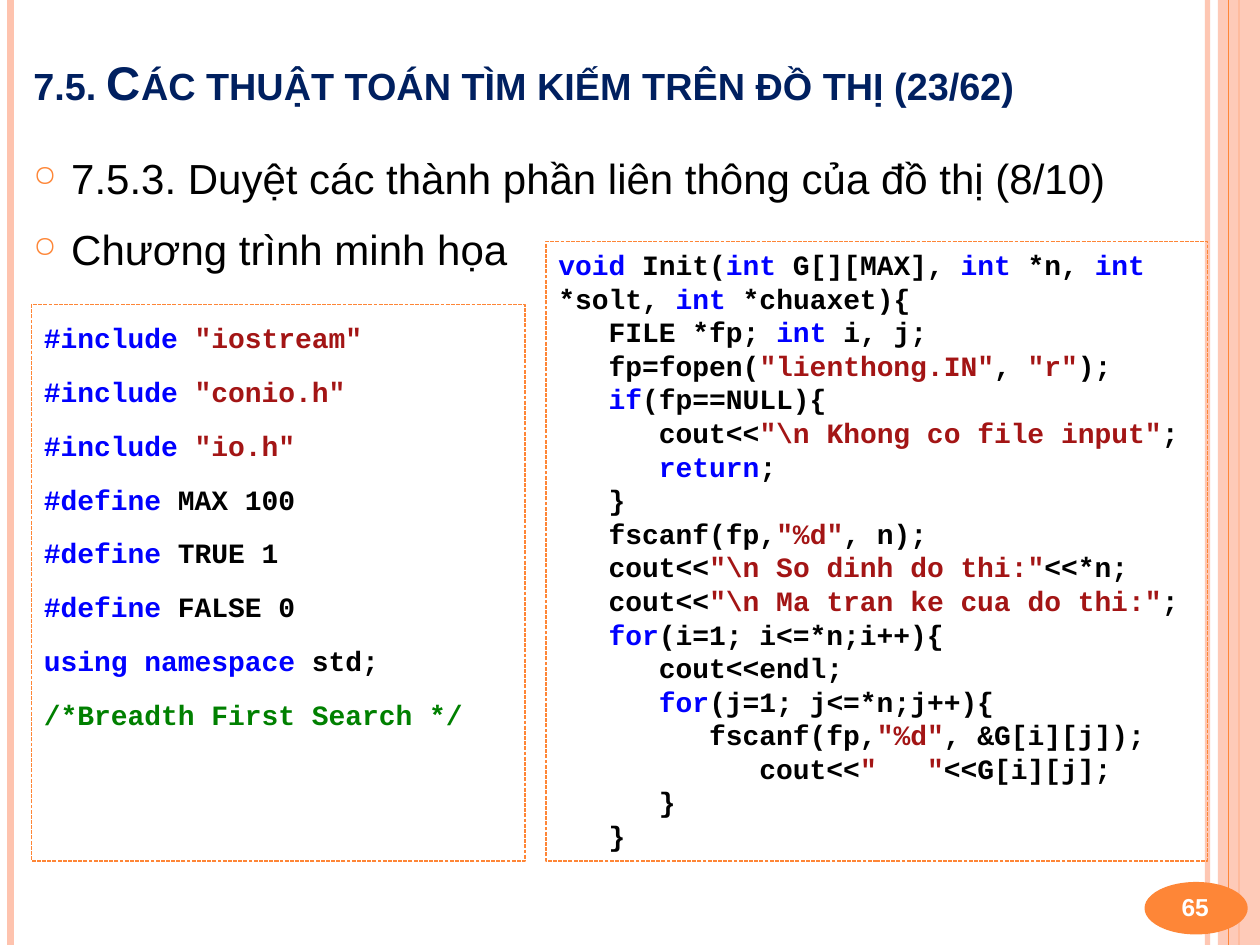
from lxml.etree import SubElement
from pptx import Presentation
from pptx.dml.color import RGBColor
from pptx.enum.dml import MSO_LINE
from pptx.enum.shapes import MSO_CONNECTOR, MSO_SHAPE
from pptx.enum.text import MSO_ANCHOR, PP_ALIGN
from pptx.oxml.ns import qn
from pptx.util import Pt

COLORS = {
    "peach": "FEC3AE", "orange": "FE8637", "navy": "002060", "white": "FFFFFF",
    "plain": "000000", "keyword": "0000FF", "string": "A31515", "comment": "008000",
}
KEYWORDS = {"#include", "#define", "using namespace", "void", "int", "if", "return", "for"}

# A bar separates the differently coloured parts of a line of code.
HEADER_CODE = [
    '#include |"iostream"',
    '#include |"conio.h"',
    '#include |"io.h"',
    '#define| MAX 100',
    '#define| TRUE 1',
    '#define| FALSE 0',
    'using namespace| std;',
    '/*Breadth First Search */',
]
INIT_CODE = [
    'void| Init(|int| G[][MAX], |int| *n, |int| *solt, |int| *chuaxet){',
    '   FILE *fp; |int| i, j;',
    '   fp=fopen(|"lienthong.IN"|, |"r"|);',
    '   if|(fp==NULL){',
    r'      cout<<|"\n Khong co file input"|;',
    '      return|;',
    '   }',
    '   fscanf(fp,|"%d"|, n);',
    r'   cout<<|"\n So dinh do thi:"|<<*n;',
    r'   cout<<|"\n Ma tran ke cua do thi:"|;',
    '   for|(i=1; i<=*n;i++){',
    '      cout<<endl;',
    '      for|(j=1; j<=*n;j++){',
    '         fscanf(fp,|"%d"|, &G[i][j]);',
    '            cout<<|"   "|<<G[i][j];',
    '      }',
    '   }',
]

presentation = Presentation()
presentation.slide_width, presentation.slide_height = Pt(720), Pt(540)
slide = presentation.slides.add_slide(presentation.slide_layouts[6])
shapes = slide.shapes


def set_color(color_format, name, opacity=100):
    color_format.rgb = RGBColor.from_string(COLORS[name])
    if opacity < 100:
        for color in color_format._xFill.iter(qn("a:srgbClr")):
            SubElement(color, qn("a:alpha")).set("val", str(opacity * 1000))


def add_vertical_rule(x, color, width, opacity=100):
    rule = shapes.add_connector(MSO_CONNECTOR.STRAIGHT, Pt(x), Pt(0), Pt(x), Pt(540))
    rule.line.width = Pt(width)
    rule.line.fill.solid()
    set_color(rule.line.fill.fore_color, color, opacity)
    SubElement(rule._element.spPr, qn("a:effectLst"))


# Side decoration
add_vertical_rule(690, "peach", 3, 93)
add_vertical_rule(6, "peach", 4.5)
add_vertical_rule(708, "orange", 1.5)

band = shapes.add_shape(MSO_SHAPE.RECTANGLE, Pt(696), Pt(0), Pt(24), Pt(540))
badge = shapes.add_shape(MSO_SHAPE.OVAL, Pt(654), Pt(504), Pt(59), Pt(30))
for shape, color, opacity in ((band, "peach", 87), (badge, "orange", 100)):
    shape.shadow.inherit = False
    shape.fill.solid()
    set_color(shape.fill.fore_color, color, opacity)
    shape.line.fill.background()
add_vertical_rule(702, "orange", 0.75)

# Title, outline and slide number
title = shapes.add_textbox(Pt(12), Pt(21.6), Pt(672), Pt(44.6))
title.text_frame.text = "7.5. Các thuật toán tìm kiếm trên đồ thị (23/62)"
title.text_frame.vertical_anchor = MSO_ANCHOR.BOTTOM

outline = shapes.add_textbox(Pt(12), Pt(78), Pt(672), Pt(432))
outline.text_frame.text = (
    "7.5.3. Duyệt các thành phần liên thông của đồ thị (8/10)\nChương trình minh họa"
)

number = shapes.add_textbox(Pt(648), Pt(497.5), Pt(70), Pt(41))
number.text_frame.text = "65"
number.text_frame.vertical_anchor = MSO_ANCHOR.MIDDLE
number.text_frame.paragraphs[0].alignment = PP_ALIGN.CENTER

for index, paragraph in enumerate(outline.text_frame.paragraphs):
    paragraph.alignment = PP_ALIGN.JUSTIFY
    paragraph.line_spacing = 1.2
    paragraph.space_before = Pt(6 if index else 0)
    properties = paragraph._p.get_or_add_pPr()
    properties.set("marL", str(Pt(21.6)))
    properties.set("indent", str(-Pt(21.6)))
    bullet_color = SubElement(properties, qn("a:buClr"))
    SubElement(bullet_color, qn("a:srgbClr")).set("val", COLORS["orange"])
    SubElement(properties, qn("a:buSzPct")).set("val", "70000")
    SubElement(properties, qn("a:buChar")).set("char", "○")

for box, size, color, bold in (
    (title, 27, "navy", True), (outline, 24, "plain", False), (number, 14, "white", True),
):
    box.text_frame.word_wrap = True
    for paragraph in box.text_frame.paragraphs:
        font = paragraph.runs[0].font
        font.name, font.size, font.bold = "Arial", Pt(size), bold
        set_color(font.color, color)
title.text_frame.paragraphs[0].runs[0]._r.get_or_add_rPr().set("cap", "small")

# Code boxes: left, top, width, height, line spacing, space before, code
for left, top, width, height, line_spacing, space_before, code in (
    (18, 174, 282, 318, 1.3, 5.8, HEADER_CODE),
    (312, 138, 378, 354, 1, 0, INIT_CODE),
):
    code_box = shapes.add_shape(MSO_SHAPE.RECTANGLE, Pt(left), Pt(top), Pt(width), Pt(height))
    code_box.shadow.inherit = False
    code_box.fill.background()
    set_color(code_box.line.color, "orange")
    code_box.line.width = Pt(0.75)
    code_box.line.dash_style = MSO_LINE.SQUARE_DOT
    text_frame = code_box.text_frame
    text_frame.word_wrap = True
    text_frame.vertical_anchor = MSO_ANCHOR.TOP
    for index, line in enumerate(code):
        paragraph = text_frame.add_paragraph() if index else text_frame.paragraphs[0]
        paragraph.alignment = PP_ALIGN.LEFT
        paragraph.line_spacing = line_spacing
        paragraph.space_before = Pt(space_before if index else 0)
        for part in line.split("|"):
            if part.strip() in KEYWORDS:
                kind = "keyword"
            elif part.startswith('"'):
                kind = "string"
            else:
                kind = "comment" if part.startswith("/*") else "plain"
            run = paragraph.add_run()
            run.text = part
            run.font.name, run.font.size, run.font.bold = "Courier New", Pt(16), True
            set_color(run.font.color, kind)

presentation.save("out.pptx")
